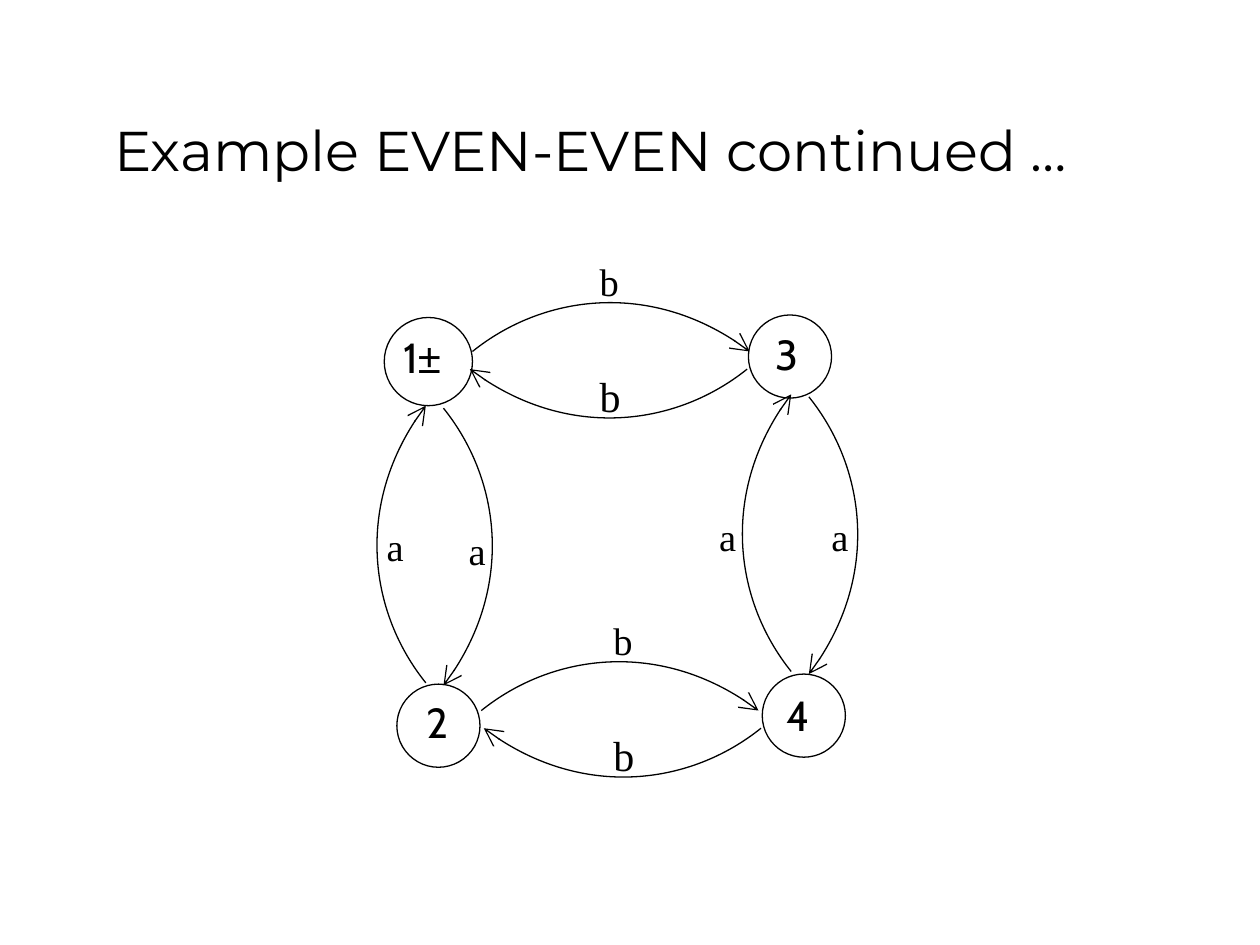
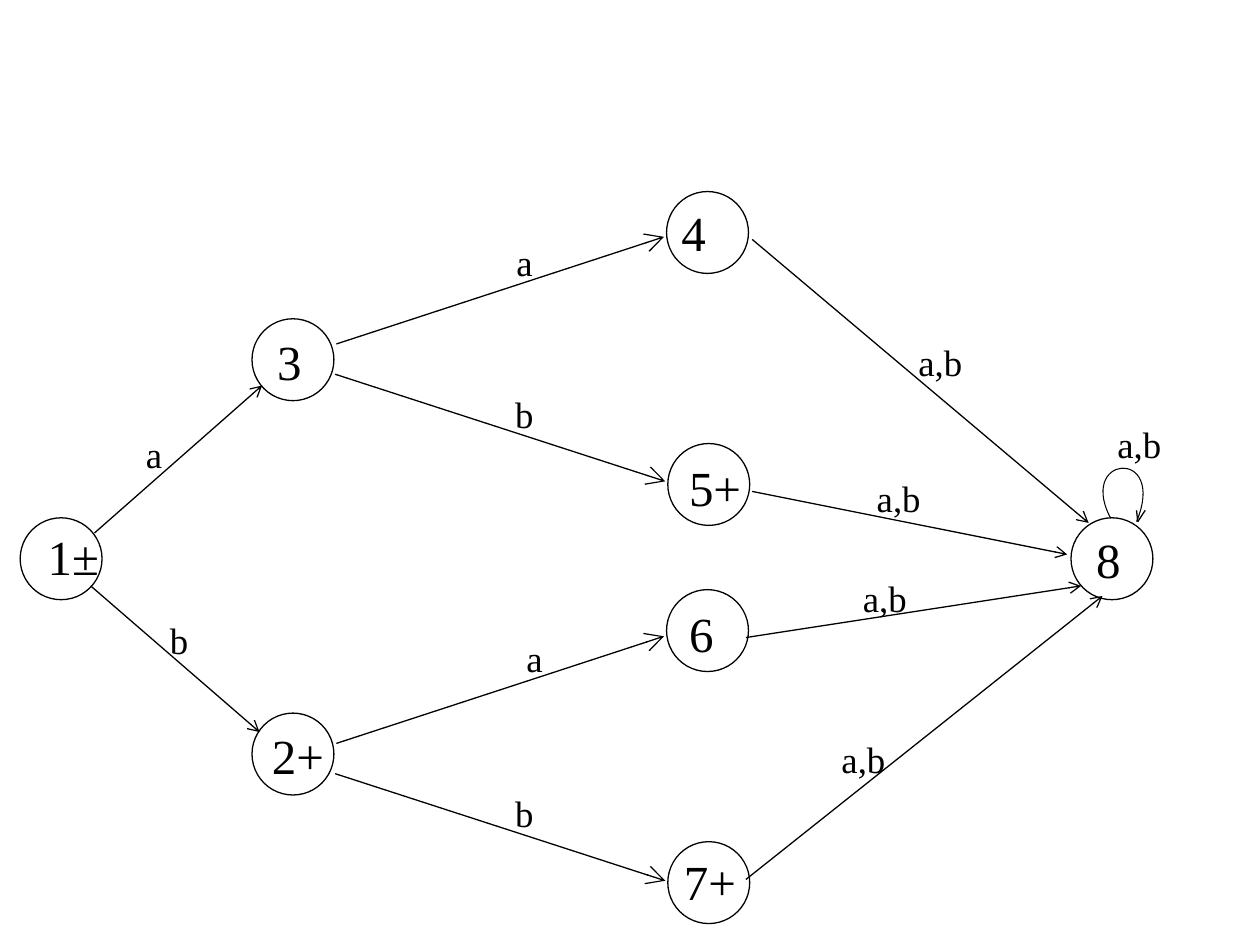
from dataclasses import dataclass

from lxml.etree import SubElement
from pptx import Presentation
from pptx.dml.color import RGBColor
from pptx.enum.shapes import MSO_CONNECTOR, MSO_SHAPE
from pptx.enum.text import MSO_ANCHOR, PP_ALIGN
from pptx.oxml.ns import qn
from pptx.util import Inches, Pt


@dataclass(frozen=True)
class Theme:
    ink: RGBColor = RGBColor(0, 0, 0)
    paper: RGBColor = RGBColor(255, 255, 255)
    title_font: str = "Montserrat"
    state_font: str = "Cabin"
    symbol_font: str = "Arial"
    label_font: str = "Times New Roman"
    title_size: int = 32
    state_size: int = 24
    tree_state_size: int = 28
    edge_size: int = 22
    wide_edge_size: int = 24
    tree_edge_size: int = 21
    line_width: float = 0.75
    loop_width: float = 0.6


THEME = Theme()
RIGHT, LEFT, UP, DOWN = (1, 0), (-1, 0), (0, -1), (0, 1)
# Control points of an arc: distance along its heading, bulge to its left
ARC = [(0, 0), (0.56, 0.45), (1.47, 0.56), (2.2, 0)]


def add_span(para, text, font, size):
    span = para.add_run()
    span.text = text
    span.font.color.rgb = THEME.ink
    for name, value in {"name": font, "size": Pt(size)}.items():
        setattr(span.font, name, value)


def style_line(shape, width=THEME.line_width, head=None):
    """Draw a plain ink line, with an open arrowhead of the given size."""
    shape.line.color.rgb = THEME.ink
    shape.line.width = Pt(width)
    if head:
        line = shape._element.spPr.find(qn("a:ln"))
        SubElement(line, qn("a:tailEnd"), type="arrow", w=head, len=head)


class Diagram:
    """State diagram whose parts are placed relative to its top left corner."""

    def __init__(self, page, left, top):
        self.shapes = page.shapes
        self.left, self.top = left, top

    def point(self, x, y):
        return Inches(self.left + x), Inches(self.top + y)

    def node(self, x, y, size):
        circle = self.shapes.add_shape(
            MSO_SHAPE.OVAL, *self.point(x, y), Inches(size), Inches(size))
        circle.shadow.inherit = False
        circle.fill.solid()
        circle.fill.fore_color.rgb = THEME.paper
        style_line(circle)

    def label(self, x, y, size, *spans):
        """Add a text box; size is (width, height), spans are (text, font, points)."""
        box = self.shapes.add_textbox(*self.point(x, y), *map(Inches, size))
        box.text_frame.word_wrap = True
        for span in spans:
            add_span(box.text_frame.paragraphs[0], *span)

    def outline(self, points, curved=False, **line):
        start, *others = [self.point(*point) for point in points]
        builder = self.shapes.build_freeform(*start)
        builder.add_line_segments(others, close=False)
        shape = builder.convert_to_shape()
        shape.shadow.inherit = False
        shape.fill.background()
        style_line(shape, **line)
        if curved:
            outline = shape._element.find(".//" + qn("a:path"))
            curve = SubElement(outline, qn("a:cubicBezTo"))
            for segment in outline.findall(qn("a:lnTo")):
                curve.append(segment[0])
                outline.remove(segment)

    def arc(self, x, y, heading):
        across, down = heading
        points = [(x + along * across + bulge * down,
                   y + along * down - bulge * across) for along, bulge in ARC]
        self.outline(points, curved=True, head="lg")

    def arrow(self, start, end):
        connector = self.shapes.add_connector(
            MSO_CONNECTOR.STRAIGHT, *self.point(*start), *self.point(*end))
        style_line(connector, head="med")
        SubElement(connector._element.spPr, qn("a:effectLst"))


def add_title(page, text):
    title = page.shapes.title
    place = {"left": 0.44, "top": 0.25, "width": 8.5, "height": 1.25}
    for name, value in place.items():
        setattr(title, name, Inches(value))
    frame = title.text_frame
    frame.word_wrap = True
    frame.vertical_anchor = MSO_ANCHOR.BOTTOM
    para = frame.paragraphs[0]
    para.alignment = PP_ALIGN.CENTER
    add_span(para, text, THEME.title_font, THEME.title_size)


def draw_even_even(page, left, top):
    """Four states in a square, each side joined both ways."""
    diagram = Diagram(page, left, top)

    # State circles
    for x, y, size in [(0.08, 0.52, 0.7), (2.97, 0.5, 0.66),
                       (0.18, 3.43, 0.66), (3.08, 3.35, 0.66)]:
        diagram.node(x, y, size)

    # Transitions
    for x, y, heading in [
        (0.78, 0.79, RIGHT), (2.96, 0.93, LEFT),
        (0.41, 3.42, UP), (0.55, 1.24, DOWN),
        (0.85, 3.64, RIGHT), (3.07, 3.78, LEFT),
        (3.31, 3.33, UP), (3.45, 1.15, DOWN),
    ]:
        diagram.arc(x, y, heading)

    # Transition letters
    small = (0.41, 0.4), THEME.edge_size
    wide = (0.49, 0.5), THEME.wide_edge_size
    for letter, x, y, (size, points) in [
        ("b", 1.69, 0, small), ("b", 1.69, 0.89, wide),
        ("b", 1.8, 2.85, small), ("b", 1.8, 3.74, wide),
        ("a", 0, 2.1, small), ("a", 0.65, 2.13, small),
        ("a", 2.64, 2.02, small), ("a", 3.53, 2.02, small),
    ]:
        diagram.label(x, y, size, (letter, THEME.label_font, points))

    # State names
    for x, y, name, sign in [(0.13, 0.58, "1", "±"), (3.17, 3.42, "4", ""),
                             (3.09, 0.56, "3", ""), (0.32, 3.48, "2", "")]:
        spans = [(name, THEME.state_font, THEME.state_size)]
        if sign:
            spans.append((sign, THEME.symbol_font, THEME.state_size))
        diagram.label(x, y, (0.69, 0.4), *spans)


def draw_tree(page, left, top):
    """States that branch from left to right and meet in state 8."""
    diagram = Diagram(page, left, top)
    text_size = (0.98, 0.68)

    # Loop on state 8 with its arrowhead
    diagram.outline([(8.67, 2.62), (8.36, 2.09), (9.11, 2.02), (8.86, 2.62)],
                    curved=True, width=THEME.loop_width)
    tip = (8.87, 2.62)
    for barb in [(8.93, 2.53), (8.86, 2.53)]:
        diagram.outline([tip, barb])

    # States: circle corner, then name corner
    states = {
        "1±": (0, 2.59, 0.12, 2.61),
        "2+": (1.84, 4.14, 1.9, 4.19),
        "3": (1.84, 1.01, 1.94, 1.06),
        "4": (5.13, 0, 5.15, 0.04),
        "5+": (5.14, 2, 5.21, 2.06),
        "6": (5.13, 3.16, 5.21, 3.22),
        "7+": (5.14, 5.16, 5.17, 5.19),
        "8": (8.34, 2.59, 8.44, 2.63),
    }
    for x, y, _, _ in states.values():
        diagram.node(x, y, 0.65)

    # The upper and lower branch share one fork
    for drop in (0, 3.17):
        diagram.outline([(2.51, 1.21 + drop), (5.11, 0.36 + drop)], head="lg")
        diagram.outline([(2.5, 1.45 + drop), (5.12, 2.3 + drop)], head="lg")

    # Arrows out of state 1 and into state 8
    for start, end in [
        ((0.59, 2.71), (1.92, 1.54)), ((0.56, 3.13), (1.9, 4.29)),
        ((5.81, 0.38), (8.48, 2.63)), ((5.81, 2.38), (8.31, 2.88)),
        ((5.76, 3.54), (8.42, 3.13)), ((5.76, 5.46), (8.59, 3.21)),
    ]:
        diagram.arrow(start, end)

    # Transition letters
    edges = {
        "a": [(0.9, 1.86), (3.84, 0.33), (3.92, 3.48)],
        "b": [(1.09, 3.33), (3.83, 1.54), (3.83, 4.71)],
        "a,b": [(7.03, 1.13), (6.7, 2.21), (6.59, 3), (6.42, 4.28), (8.61, 1.78)],
    }
    for letters, places in edges.items():
        for x, y in places:
            diagram.label(x, y, text_size,
                          (letters, THEME.label_font, THEME.tree_edge_size))

    # State names
    for name, (_, _, x, y) in states.items():
        diagram.label(x, y, text_size,
                      (name, THEME.label_font, THEME.tree_state_size))


def main():
    deck = Presentation()
    deck.slide_width, deck.slide_height = Inches(10), Inches(7.5)
    title_only, blank = deck.slide_layouts[5], deck.slide_layouts[6]

    page = deck.slides.add_slide(title_only)
    add_title(page, "Example EVEN-EVEN continued …")
    draw_even_even(page, 2.97, 2)

    page = deck.slides.add_slide(blank)
    draw_tree(page, 0.16, 1.52)

    deck.save("out.pptx")


if __name__ == "__main__":
    main()
